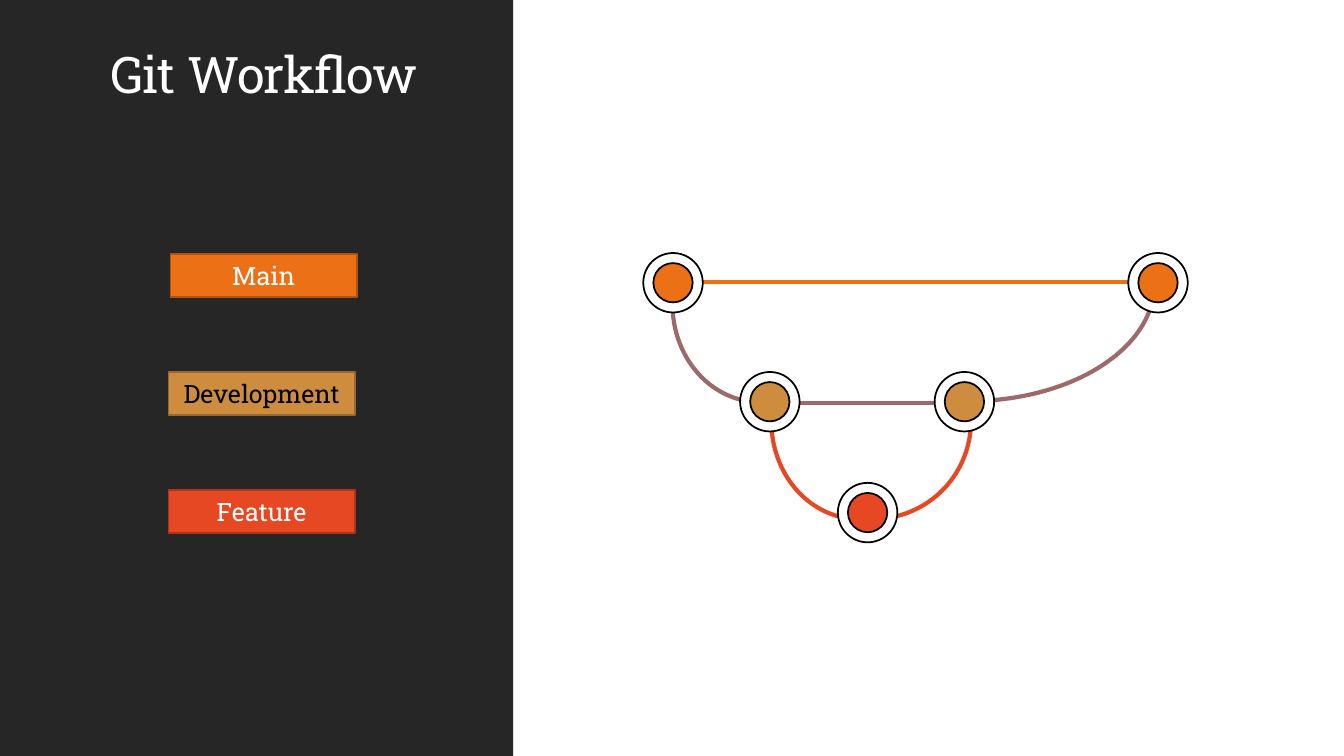
"""Build the Git workflow slide."""
from lxml.etree import SubElement
from pptx import Presentation
from pptx.dml.color import RGBColor as Rgb
from pptx.enum.shapes import MSO_CONNECTOR as Link, MSO_SHAPE as Kind
from pptx.enum.text import MSO_ANCHOR as Anchor, PP_ALIGN as Align
from pptx.oxml.ns import qn
from pptx.util import Inches, Pt

FONT = "Roboto Slab"
HEX = {
    "panel": "262626", "white": "FFFFFF", "black": "000000",
    "main": "EC7016", "main edge": "AF5310",
    "dev": "CE8D3E", "dev edge": "98682E",
    "feat": "E64823", "feat edge": "AA351A",
    "branch": "9C6A6A",
}
RING, DOT = 0.59, 0.39


def color(name):
    """Return the named colour."""
    return Rgb.from_string(HEX[name])


def add_shape(shapes, kind, box, fill=None, edge=None, width=1.25):
    """Add a preset shape with plain fill and outline."""
    shape = shapes.add_shape(kind, *map(Inches, box))
    shape.shadow.inherit = False
    if fill:
        shape.fill.solid()
        shape.fill.fore_color.rgb = color(fill)
    else:
        shape.fill.background()
    if edge:
        shape.line.color.rgb = color(edge)
        shape.line.width = Pt(width)
    else:
        shape.line.fill.background()
    return shape


def write(shape, text, size, ink, anchor):
    """Write one centred line of text and return its run."""
    frame = shape.text_frame
    frame.word_wrap = True
    frame.vertical_anchor = anchor
    para = frame.paragraphs[0]
    para.alignment = Align.CENTER
    run = para.add_run()
    run.text = text
    run.font.name = FONT
    run.font.size = Pt(size)
    run.font.color.rgb = color(ink)
    return run


def add_panel(slide):
    """Lay the dark side panel behind the title."""
    panel = add_shape(slide.shapes, Kind.RECTANGLE, (0, 0, 5.09, 7.5), "panel")
    panel.element.getparent().insert(2, panel.element)


def set_title(slide, text):
    """Place and format the title."""
    title = slide.shapes.title
    title.left, title.top = Inches(0.69), Inches(0.24)
    title.width, title.height = Inches(3.85), Inches(0.85)
    run = write(title, text, 36, "white", Anchor.BOTTOM)
    title.text_frame.paragraphs[0].line_spacing = 0.9
    run.font._element.set("spc", "-50")


def add_arc(slide, box, tint, turn, flip=False):
    """Add a quarter arc, turned and perhaps mirrored."""
    arc = add_shape(slide.shapes, Kind.ARC, box, edge=tint, width=3)
    arc.rotation = turn
    if flip:
        arc.element.spPr.find(qn("a:xfrm")).set("flipH", "1")


def add_line(slide, left, right, y, tint):
    """Add a level branch line."""
    ends = map(Inches, (left, y, right, y))
    line = slide.shapes.add_connector(Link.STRAIGHT, *ends)
    line.line.color.rgb = color(tint)
    line.line.width = Pt(3)
    SubElement(line.element.spPr, qn("a:effectLst"))


def add_label(slide, left, top, text, tint, ink):
    """Add a branch label to the legend."""
    box = (left, top, 1.85, 0.43)
    label = add_shape(slide.shapes, Kind.RECTANGLE, box, tint, f"{tint} edge")
    write(label, text, 18, ink, Anchor.MIDDLE)


def add_commit(slide, left, top, tint):
    """Add a commit: a coloured dot inside a white ring."""
    group = slide.shapes.add_group_shape()
    for size, fill in ((RING, "white"), (DOT, tint)):
        gap = (RING - size) / 2
        box = (left + gap, top + gap, size, size)
        add_shape(group.shapes, Kind.OVAL, box, fill, "black")


def main():
    """Build and save the slide."""
    deck = Presentation()
    deck.slide_width, deck.slide_height = Inches(13.33), Inches(7.5)
    slide = deck.slides.add_slide(deck.slide_layouts[5])
    add_panel(slide)
    set_title(slide, "Git Workflow")

    add_arc(slide, (7.76, 1.65, 3.69, 2.33), "branch", 180, flip=True)
    add_line(slide, 7.74, 9.47, 4, "branch")
    add_arc(slide, (7.69, 3.21, 1.94, 1.94), "feat", 90)
    add_arc(slide, (7.65, 3.21, 1.74, 1.94), "feat", 180)
    add_arc(slide, (6.67, 2.05, 1.74, 1.94), "branch", 180)
    add_line(slide, 6.67, 11.49, 2.8, "main")

    labels = (
        (1.69, "Main", "main", "white"),
        (1.67, "Development", "dev", "black"),
        (1.67, "Feature", "feat", "white"),
    )
    for row, (left, text, tint, ink) in enumerate(labels):
        add_label(slide, left, 2.52 + 1.17 * row, text, tint, ink)

    commits = (
        (6.38, 2.51, "main"), (7.34, 3.69, "dev"), (8.31, 4.79, "feat"),
        (9.27, 3.69, "dev"), (11.19, 2.51, "main"),
    )
    for left, top, tint in commits:
        add_commit(slide, left, top, tint)
    deck.save("out.pptx")


if __name__ == "__main__":
    main()
